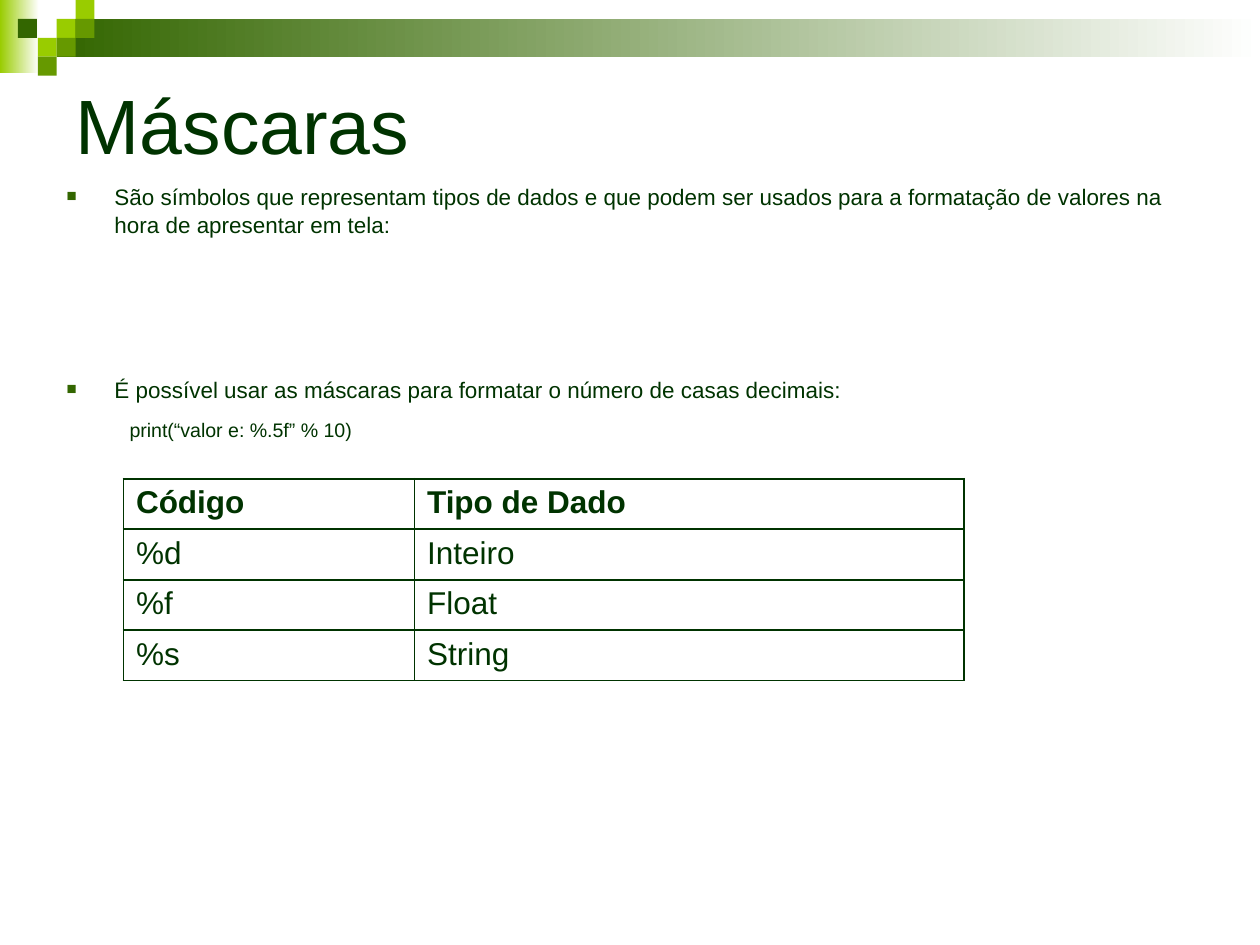
from lxml.etree import SubElement
from pptx import Presentation
from pptx.dml.color import RGBColor
from pptx.enum.shapes import MSO_SHAPE
from pptx.enum.text import MSO_ANCHOR, PP_ALIGN
from pptx.oxml.ns import qn
from pptx.util import Inches, Pt

DARK_GREEN = RGBColor(0x00, 0x33, 0x00)
FOREST = RGBColor(0x33, 0x66, 0x00)
LEAF = RGBColor(0x66, 0x99, 0x00)
LIME = RGBColor(0x99, 0xCC, 0x00)
WHITE = RGBColor(0xFF, 0xFF, 0xFF)
FONT = "Arial"

# Mosaic squares: column and row in a grid, with colour
MOSAIC = [(3, 1, LIME), (4, 0, LIME), (4, 1, LEAF), (2, 2, LIME),
          (0.95, 1, FOREST), (3, 2, LEAF), (2, 3, LEAF)]
MASKS = [("Código", "Tipo de Dado"), ("%d", "Inteiro"),
         ("%f", "Float"), ("%s", "String")]


def write(paragraph, text, *, size, bold=False, before=0, spacing=None):
    paragraph.text = text
    paragraph.alignment = PP_ALIGN.LEFT
    paragraph.space_before = Pt(before)
    if spacing:
        paragraph.line_spacing = spacing
    font = paragraph.runs[0].font
    font.name, font.size, font.bold = FONT, Pt(size), bold
    font.color.rgb = DARK_GREEN


def set_indent(paragraph, left, bullet=False):
    properties = paragraph._p.get_or_add_pPr()
    properties.set("marL", str(Inches(left)))
    properties.set("indent", str(-Inches(left) if bullet else 0))
    if bullet:
        color = SubElement(properties, qn("a:buClr"))
        SubElement(color, qn("a:srgbClr"), val=str(FOREST))
        SubElement(properties, qn("a:buSzPct"), val="75000")
        SubElement(properties, qn("a:buFont"), typeface=FONT)
        SubElement(properties, qn("a:buChar"), char="■")


def add_block(slide, left, top, width, height, color, fade=False):
    block = slide.shapes.add_shape(MSO_SHAPE.RECTANGLE, Inches(left), Inches(top),
                                   Inches(width), Inches(height))
    block.shadow.inherit = False
    block.line.fill.background()
    if fade:
        block.fill.gradient()
        block.fill.gradient_angle = 0
        for stop, stop_color in zip(block.fill.gradient_stops, (color, WHITE)):
            stop.color.rgb = stop_color
    else:
        block.fill.solid()
        block.fill.fore_color.rgb = color


def add_banner(slide, left, top, width, cell):
    add_block(slide, left, top, 0.31, 0.58, LIME, fade=True)
    bar_left = left + 3 * cell
    add_block(slide, bar_left, top + cell, width - 3 * cell, 2 * cell, FOREST, fade=True)
    for column, row, color in MOSAIC:
        add_block(slide, left + column * cell, top + row * cell, cell, cell, color)


def add_title(slide, left, top, width, height):
    title = slide.shapes.title
    title.left, title.top = Inches(left), Inches(top)
    title.width, title.height = Inches(width), Inches(height)
    title.text_frame.vertical_anchor = MSO_ANCHOR.MIDDLE
    write(title.text_frame.paragraphs[0], "Máscaras", size=44)


def add_explanation(slide, left, top, width, height):
    frame = slide.shapes.add_textbox(Inches(left), Inches(top),
                                     Inches(width), Inches(height)).text_frame
    frame.word_wrap = True
    definition = frame.paragraphs[0]
    decimals, example = frame.add_paragraph(), frame.add_paragraph()
    set_indent(definition, 0.38, bullet=True)
    set_indent(decimals, 0.38, bullet=True)
    set_indent(example, 0.5)
    write(definition, "São símbolos que representam tipos de dados e que podem ser usados "
          "para a formatação de valores na hora de apresentar em tela:",
          size=12.8, spacing=1.05)
    write(decimals, "É possível usar as máscaras para formatar o número de casas decimais:",
          size=12.8, before=78, spacing=1.05)
    write(example, "print(“valor e: %.5f” % 10)", size=11.2, before=8, spacing=1.05)


def set_borders(cell, **widths):
    properties = cell._tc.get_or_add_tcPr()
    for position, side in enumerate("LRTB"):
        line = SubElement(properties, qn(f"a:ln{side}"), w=str(Pt(widths[side])))
        fill = SubElement(line, qn("a:solidFill"))
        SubElement(fill, qn("a:srgbClr"), val=str(DARK_GREEN))
        properties.insert(position, line)


def add_mask_table(slide, left, top, column_widths, row_height):
    table = slide.shapes.add_table(
        len(MASKS), len(column_widths), Inches(left), Inches(top),
        Inches(sum(column_widths)), Inches(row_height * len(MASKS))).table
    table.first_row = table.horz_banding = False
    for column, width in zip(table.columns, column_widths):
        column.width = Inches(width)
    last = len(column_widths) - 1
    for r, row in enumerate(MASKS):
        for c, text in enumerate(row):
            cell = table.cell(r, c)
            cell.fill.background()
            write(cell.text_frame.paragraphs[0], text, size=18, bold=r == 0)
            set_borders(cell, L=1.08 if c == 0 else 0.45,
                        R=1.08 if c == last else 0.45, T=1.08, B=1.08)


def main():
    presentation = Presentation()
    presentation.slide_width, presentation.slide_height = Inches(10), Inches(7.5)
    slide = presentation.slides.add_slide(presentation.slide_layouts[5])
    add_banner(slide, 0, 0, 10, 0.15)
    add_title(slide, 0.5, 0.5, 9, 0.97)
    add_explanation(slide, 0.43, 1.39, 9, 2.36)
    add_mask_table(slide, 0.98, 3.8, (2.31, 4.36), 0.4)
    presentation.save("out.pptx")


if __name__ == "__main__":
    main()
